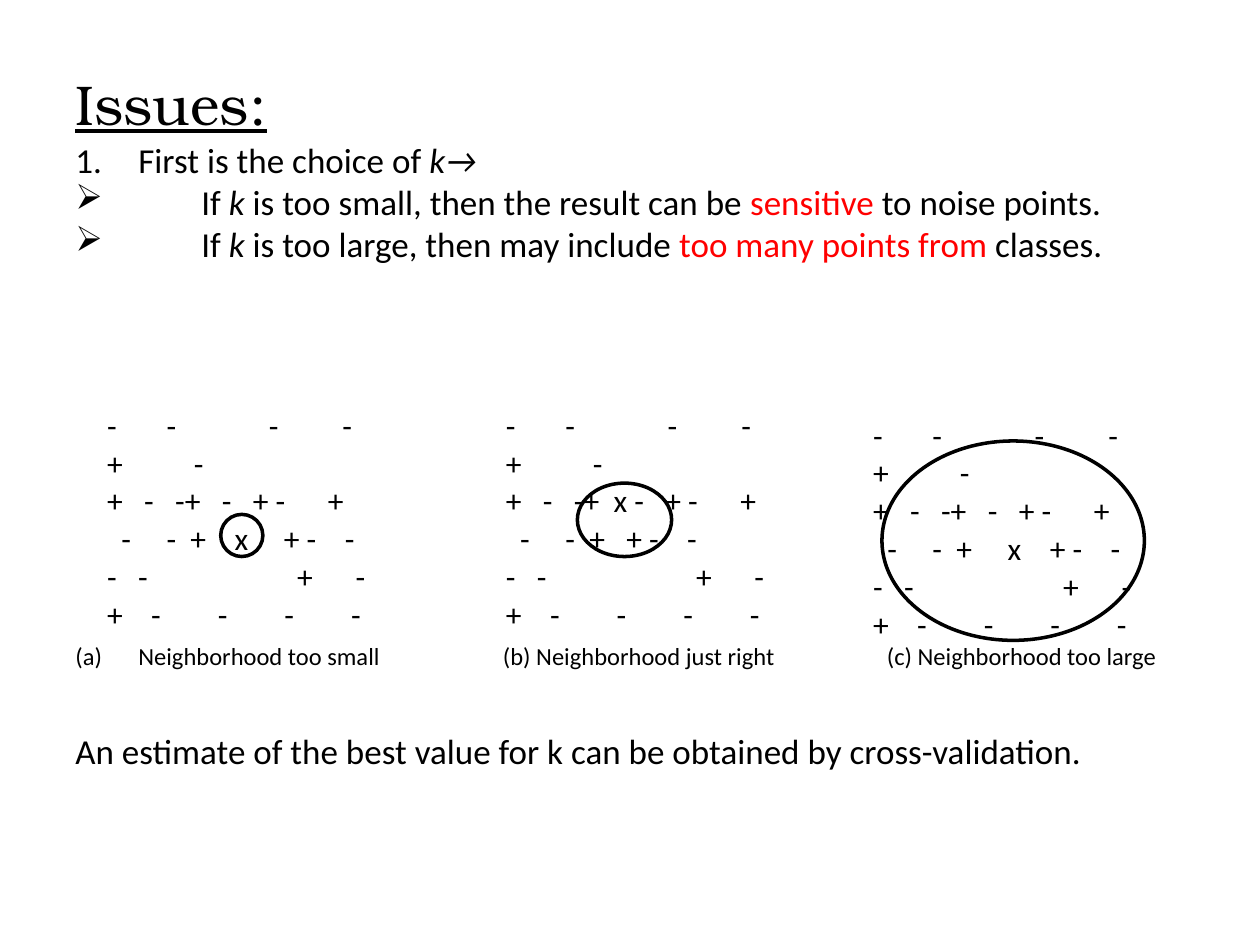
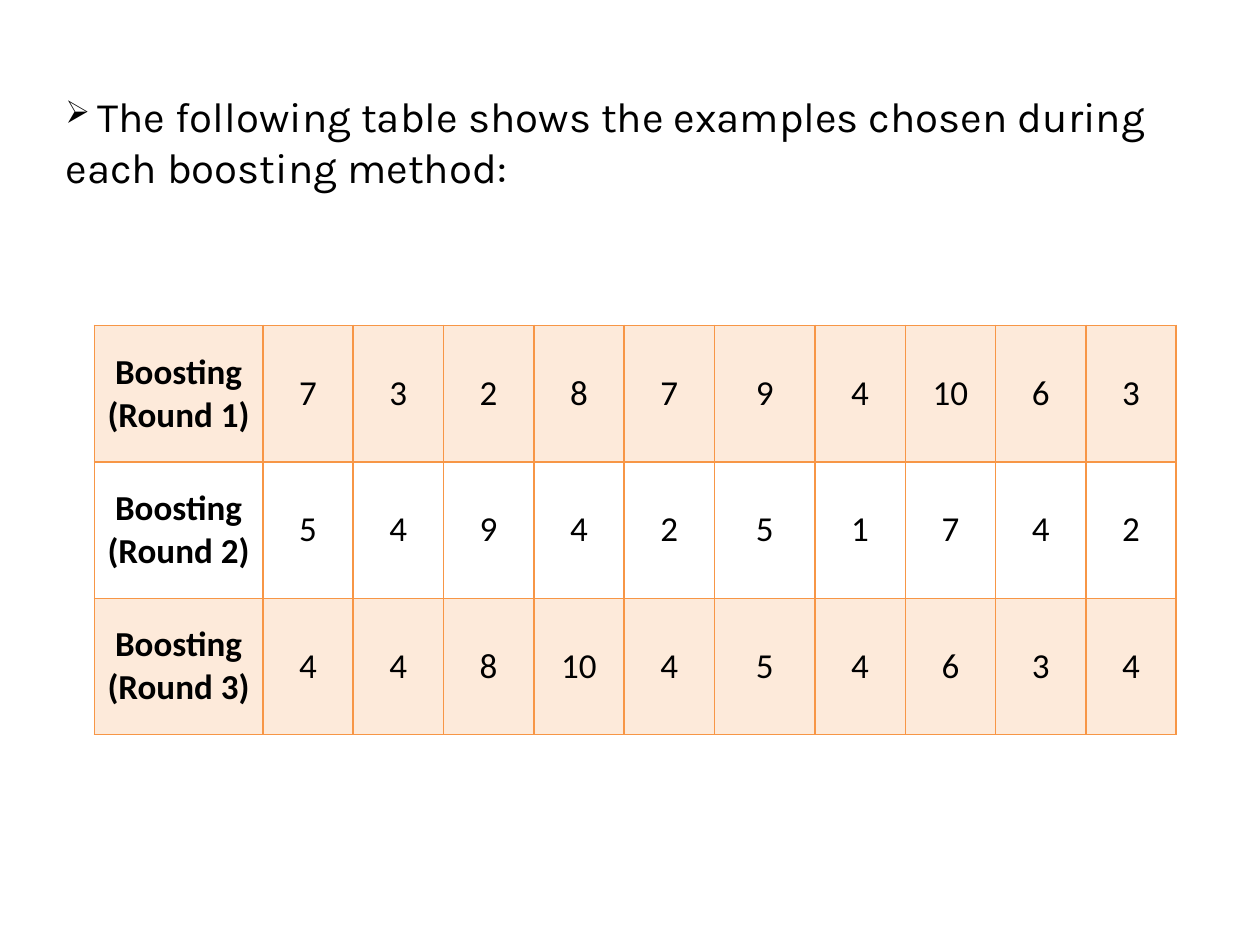
from dataclasses import dataclass
from typing import NamedTuple

from lxml.etree import SubElement
from pptx import Presentation
from pptx.dml.color import RGBColor
from pptx.enum.shapes import MSO_SHAPE
from pptx.enum.text import MSO_ANCHOR, MSO_AUTO_SIZE, PP_ALIGN
from pptx.oxml.ns import qn
from pptx.util import Cm, Pt

COLORS = {
    "ink": "000000",
    "paper": "FFFFFF",
    "alert": "FF0000",
    "border": "F79646",
    "band": "FDEADA",
}
BODY_FONT = "Calibri"
ARROW_BULLET = "➢"
LEFT_EDGE = 1.52
TEXT_WIDTH = 21.92
INDENT = 1.27
CAPTION_TOP = 12.93
MARK_SIZE = 18
GLYPH_WIDTHS = {" ": 0.226, "-": 0.306, "+": 0.498, "x": 0.433}


class Frame(NamedTuple):
    left: float
    top: float
    width: float
    height: float

    def lengths(self) -> tuple:
        return tuple(Cm(value) for value in self)


class Span(NamedTuple):
    text: str
    size: float = 20
    font: str = BODY_FONT
    color: str = "ink"
    bold: bool = False
    italic: bool = False
    underline: bool = False


@dataclass
class Panel:
    marks_left: float
    marks_top: float
    circle: Frame
    near_rows: tuple
    caption: str
    caption_left: float
    numbered: bool = False

    def rows(self) -> tuple:
        return (
            "-       -             -         -",
            "+          -",
            *self.near_rows,
            "-   -                     +      -",
            "+    -        -        -        -",
        )


PANELS = [
    Panel(2.16, 8.18, Frame(4.45, 10.37, 0.85, 0.85),
          ("+   -   -+   -   + -      +", "  -     -  +    x     + -    -"),
          "Neighborhood too small", LEFT_EDGE, numbered=True),
    Panel(10.2, 8.18, Frame(11.64, 9.74, 1.9, 1.48),
          ("+   -   -+  x -   + -      +", "  -     -  +   + -    -"),
          "(b) Neighborhood just right", 10.14),
    Panel(17.6, 8.38, Frame(17.78, 8.89, 5.29, 4.02),
          ("+   -   -+   -   + -      +", "  -     -  +     x    + -    -"),
          "(c) Neighborhood too large", 17.88),
]

ISSUES = [
    [Span("First is the choice of "), Span("k→", italic=True)],
    [Span("If "), Span("k ", italic=True),
     Span("is too small, then the result can be "),
     Span("sensitive", color="alert"), Span(" to noise points.")],
    [Span("If "), Span("k ", italic=True),
     Span("is too large, then may include "),
     Span("too many points from ", color="alert"), Span("classes.")],
]

BOOSTING_ROUNDS = [
    (7, 3, 2, 8, 7, 9, 4, 10, 6, 3),
    (5, 4, 9, 4, 2, 5, 1, 7, 4, 2),
    (4, 4, 8, 10, 4, 5, 4, 6, 3, 4),
]


def rgb(name: str) -> RGBColor:
    return RGBColor.from_string(COLORS[name])


def format_run(run, span: Span) -> None:
    run.font.name = span.font
    run.font.size = Pt(span.size)
    run.font.color.rgb = rgb(span.color)
    run.font.bold = span.bold
    run.font.italic = span.italic
    run.font.underline = span.underline


def fill_paragraph(paragraph, spans: list[Span]) -> None:
    paragraph.alignment = PP_ALIGN.LEFT
    for span in spans:
        run = paragraph.add_run()
        run.text = span.text
        format_run(run, span)


def set_bullet(paragraph, indent: float, character: str = "", numbering: str = "") -> None:
    properties = paragraph._p.get_or_add_pPr()
    properties.set("marL", str(Cm(indent)))
    properties.set("indent", str(-Cm(indent)))
    if numbering:
        SubElement(properties, qn("a:buAutoNum"), type=numbering)
    else:
        SubElement(properties, qn("a:buChar"), char=character)


def prepare_frame(text_frame) -> None:
    text_frame.word_wrap = True
    text_frame.auto_size = MSO_AUTO_SIZE.NONE
    text_frame.vertical_anchor = MSO_ANCHOR.TOP
    text_frame.margin_left = text_frame.margin_right = 0
    text_frame.margin_top = text_frame.margin_bottom = 0


def add_text(page, frame: Frame, paragraphs: list[list[Span]]):
    box = page.shapes.add_textbox(*frame.lengths())
    text_frame = box.text_frame
    prepare_frame(text_frame)
    for index, spans in enumerate(paragraphs):
        paragraph = text_frame.add_paragraph() if index else text_frame.paragraphs[0]
        fill_paragraph(paragraph, spans)
    return text_frame


def add_title_page(deck, frame: Frame, spans: list[Span]):
    page = deck.slides.add_slide(deck.slide_layouts[5])
    title = page.shapes.title
    title.left, title.top, title.width, title.height = frame.lengths()
    prepare_frame(title.text_frame)
    fill_paragraph(title.text_frame.paragraphs[0], spans)
    return page


def place_marks(row: str) -> tuple[str, list[float]]:
    text, stops, offset, after_gap = "", [], 0.0, False
    for glyph in row:
        if glyph != " ":
            if after_gap:
                text += "\t"
                stops.append(offset)
            text += glyph
        after_gap = glyph == " "
        offset += GLYPH_WIDTHS[glyph] * MARK_SIZE
    return text, stops


def add_marks(page, panel: Panel) -> None:
    placed = [place_marks(row) for row in panel.rows()]
    frame = Frame(panel.marks_left, panel.marks_top, 5.64, 4.7)
    text_frame = add_text(page, frame, [[Span(text, MARK_SIZE)] for text, _ in placed])
    for paragraph, (_, stops) in zip(text_frame.paragraphs, placed):
        tabs = SubElement(paragraph._p.get_or_add_pPr(), qn("a:tabLst"))
        for stop in stops:
            SubElement(tabs, qn("a:tab"), pos=str(Pt(stop)), algn="l")


def add_circle(page, frame: Frame) -> None:
    circle = page.shapes.add_shape(MSO_SHAPE.OVAL, *frame.lengths())
    circle.shadow.inherit = False
    circle.fill.solid()
    circle.fill.fore_color.rgb = rgb("paper")
    circle.line.color.rgb = rgb("ink")
    circle.line.width = Pt(2)


def add_caption(page, panel: Panel) -> None:
    frame = Frame(panel.caption_left, CAPTION_TOP, 6.6, 0.65)
    text_frame = add_text(page, frame, [[Span(panel.caption, 14)]])
    if panel.numbered:
        set_bullet(text_frame.paragraphs[0], INDENT, numbering="alphaLcParenBoth")


def set_borders(cell) -> None:
    properties = cell._tc.get_or_add_tcPr()
    for side in ("lnL", "lnR", "lnT", "lnB"):
        line = SubElement(properties, qn(f"a:{side}"), w=str(Pt(1)))
        fill = SubElement(line, qn("a:solidFill"))
        SubElement(fill, qn("a:srgbClr"), val=COLORS["border"])


def format_cell(cell, text: str, bold: bool, banded: bool) -> None:
    cell.text_frame.text = text
    cell.vertical_anchor = MSO_ANCHOR.MIDDLE
    paragraph = cell.text_frame.paragraphs[0]
    paragraph.alignment = PP_ALIGN.CENTER
    format_run(paragraph.runs[0], Span(text, bold=bold))
    set_borders(cell)
    if banded:
        cell.fill.solid()
        cell.fill.fore_color.rgb = rgb("band")
    else:
        cell.fill.background()


def add_boosting_table(page) -> None:
    widths = [3.4] + [1.82] * 5 + [2.03] + [1.82] * 4
    row_height = 2.75
    frame = Frame(1.9, 6.56, sum(widths), row_height * len(BOOSTING_ROUNDS))
    table = page.shapes.add_table(len(BOOSTING_ROUNDS), len(widths), *frame.lengths()).table
    table.first_row = table.horz_banding = False
    for column, width in zip(table.columns, widths):
        column.width = Cm(width)
    for index, examples in enumerate(BOOSTING_ROUNDS):
        table.rows[index].height = Cm(row_height)
        texts = [f"Boosting (Round {index + 1})", *map(str, examples)]
        for column, text in enumerate(texts):
            format_cell(table.cell(index, column), text, column == 0, index % 2 == 0)


def build_issues_page(deck) -> None:
    page = add_title_page(deck, Frame(LEFT_EDGE, 1.4, TEXT_WIDTH, 1.39),
                          [Span("Issues:", 32, "TeX Gyre Bonum", underline=True)])
    for panel in reversed(PANELS):
        add_circle(page, panel.circle)
    issues = add_text(page, Frame(LEFT_EDGE, 2.79, TEXT_WIDTH, 2.6), ISSUES)
    first, *details = issues.paragraphs
    set_bullet(first, INDENT, numbering="arabicPeriod")
    for detail in details:
        set_bullet(detail, 2 * INDENT, ARROW_BULLET)
    for panel in PANELS:
        add_marks(page, panel)
        add_caption(page, panel)
    closing = "An estimate of the best value for k can be obtained by cross-validation."
    add_text(page, Frame(LEFT_EDGE, 14.7, TEXT_WIDTH, 0.9), [[Span(closing)]])


def build_boosting_page(deck) -> None:
    statement = "The following table shows the examples chosen during each boosting method:"
    page = add_title_page(deck, Frame(1.32, 1.83, 22.78, 2.1),
                          [Span(" ", 18), Span(statement, 24, "Karla")])
    set_bullet(page.shapes.title.text_frame.paragraphs[0], 0, ARROW_BULLET)
    add_boosting_table(page)


deck = Presentation()
deck.slide_width, deck.slide_height = Cm(25.4), Cm(19.05)
build_issues_page(deck)
build_boosting_page(deck)
deck.save("out.pptx")
